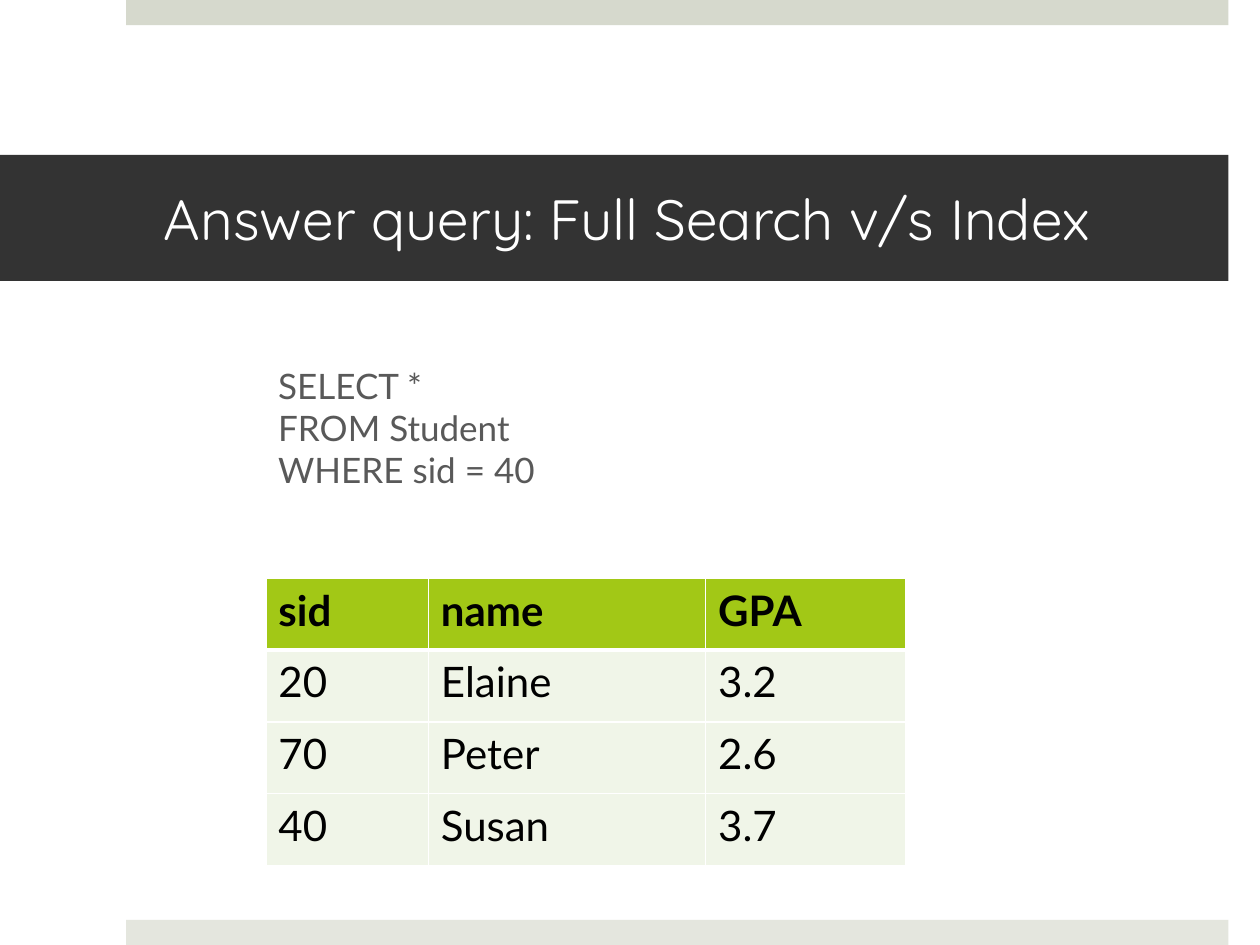
from pptx import Presentation
from pptx.dml.color import RGBColor
from pptx.enum.shapes import MSO_SHAPE
from pptx.enum.text import MSO_ANCHOR, PP_ALIGN
from pptx.oxml import parse_xml
from pptx.oxml.ns import nsdecls
from pptx.util import Inches, Pt

BODY_FONT = "Lato"
QUERY = ["SELECT *", "FROM Student", "WHERE sid = 40"]
STUDENTS = [
    ["sid", "name", "GPA"],
    ["20", "Elaine", "3.2"],
    ["70", "Peter", "2.6"],
    ["40", "Susan", "3.7"],
]
COLUMN_WIDTHS = [1.29, 2.2, 1.59]
ROW_HEIGHT = 0.57


def set_fill(target, color):
    target.fill.solid()
    target.fill.fore_color.rgb = RGBColor.from_string(color)


def add_bar(slide, left, top, width, height, color):
    bar = slide.shapes.add_shape(
        MSO_SHAPE.RECTANGLE, Inches(left), Inches(top), Inches(width), Inches(height)
    )
    bar.shadow.inherit = False
    bar.line.fill.background()
    set_fill(bar, color)
    return bar


def write_lines(text_frame, lines, font, size, color, bold=False, space_before=0):
    """Write the lines as one left-aligned paragraph with line breaks."""
    text_frame.word_wrap = True
    paragraph = text_frame.paragraphs[0]
    paragraph.alignment = PP_ALIGN.LEFT
    paragraph.space_before = Pt(space_before)
    for index, line in enumerate(lines):
        if index:
            paragraph.add_line_break()
        run = paragraph.add_run()
        run.text = line
        run.font.name = font
        run.font.size = Pt(size)
        run.font.bold = bold
        run.font.color.rgb = RGBColor.from_string(color)


def add_title(slide, text):
    band = add_bar(slide, 0, 1.23, 9.75, 1, "333333")
    frame = band.text_frame
    frame.margin_left, frame.margin_right = Inches(1.3), Inches(0.3)
    frame.vertical_anchor = MSO_ANCHOR.MIDDLE
    write_lines(frame, [text], "Quicksand", 32.4, "FFFFFF")


def add_query(slide, lines):
    box = slide.shapes.add_textbox(Inches(2.11), Inches(2.84), Inches(7.43), Inches(1.36))
    write_lines(box.text_frame, lines, BODY_FONT, 20, "595959", space_before=20)


def set_borders(cell, widths, color):
    """Put the border lines ahead of the fill, as the cell schema requires."""
    properties = cell._tc.get_or_add_tcPr()
    for index, (side, width) in enumerate(widths.items()):
        border = parse_xml(
            f'<a:{side} {nsdecls("a")} w="{Pt(width)}"><a:solidFill>'
            f'<a:srgbClr val="{color}"/></a:solidFill></a:{side}>'
        )
        properties.insert(index, border)


def add_student_table(slide, rows):
    table = slide.shapes.add_table(
        len(rows), len(COLUMN_WIDTHS), Inches(2.11), Inches(4.59),
        Inches(sum(COLUMN_WIDTHS)), Inches(ROW_HEIGHT * len(rows)),
    ).table
    for column, width in zip(table.columns, COLUMN_WIDTHS):
        column.width = Inches(width)
    for row_index, values in enumerate(rows):
        table.rows[row_index].height = Inches(ROW_HEIGHT)
        is_header = row_index == 0
        # The rule between header and body is thicker
        widths = {
            "lnL": 1,
            "lnR": 1,
            "lnT": 3 if row_index == 1 else 1,
            "lnB": 3 if is_header else 1,
        }
        for column_index, value in enumerate(values):
            cell = table.cell(row_index, column_index)
            set_fill(cell, "A2C816" if is_header else "F0F5E8")
            set_borders(cell, widths, "FFFFFF")
            write_lines(cell.text_frame, [value], BODY_FONT, 24, "000000",
                        bold=is_header, space_before=4.8)


def main():
    presentation = Presentation()
    presentation.slide_width = Inches(10)
    presentation.slide_height = Inches(7.5)
    slide = presentation.slides.add_slide(presentation.slide_layouts[6])

    # Decorative bars at the top and bottom edges
    add_bar(slide, 1, 0, 8.75, 0.2, "D6D9CD")
    add_bar(slide, 1, 7.3, 8.75, 0.2, "E4E6DE")

    # Title, query and the table it searches
    add_title(slide, "Answer query: Full Search v/s Index")
    add_query(slide, QUERY)
    add_student_table(slide, STUDENTS)

    presentation.save("out.pptx")


if __name__ == "__main__":
    main()
